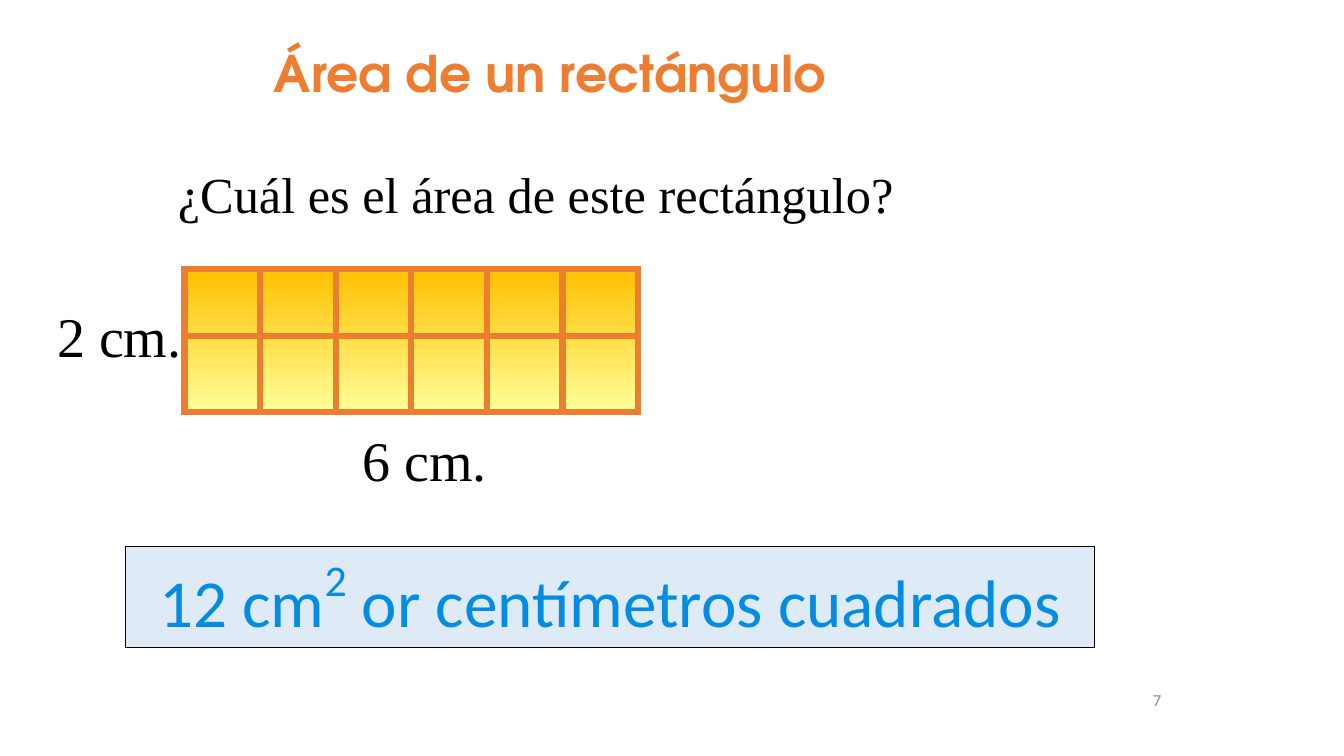
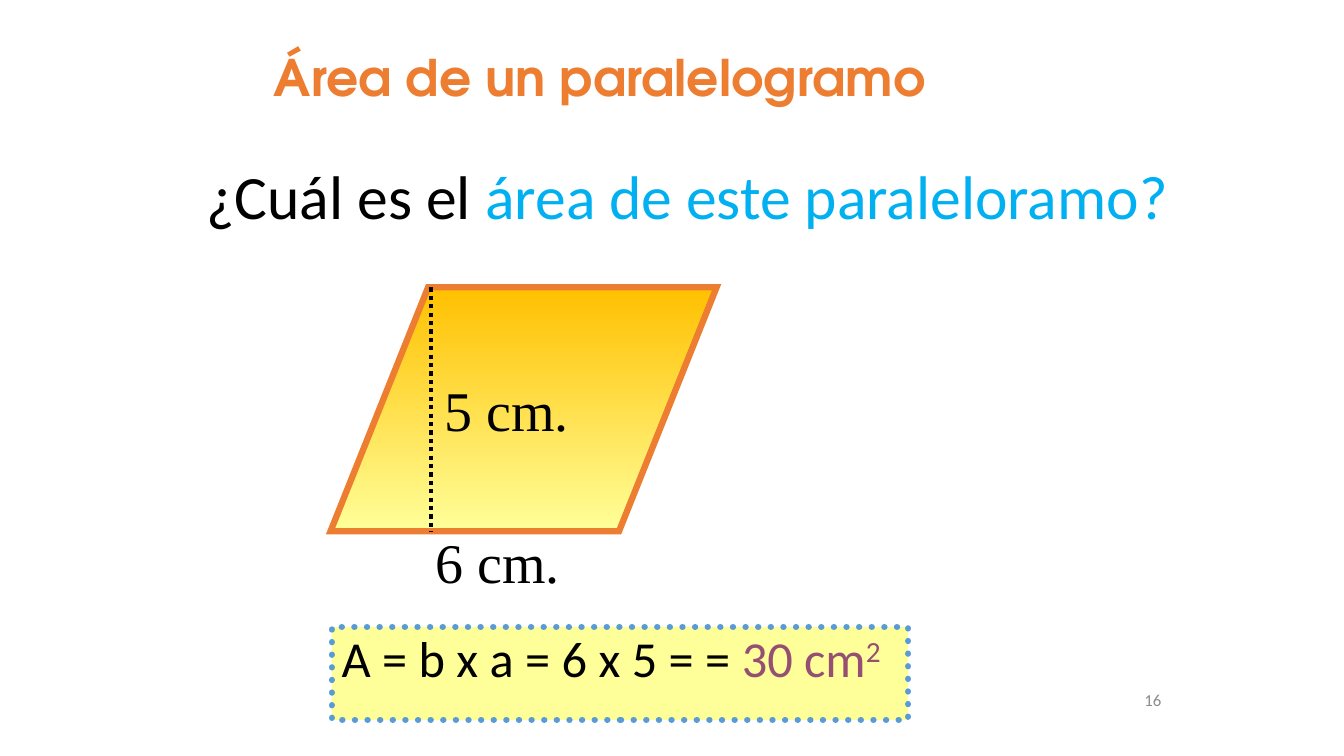
from pptx import Presentation
from pptx import util as u
from pptx.dml import color
from pptx.enum import dml, shapes, text
from pptx.oxml import ns
from lxml import etree

ORANGE = color.RGBColor(0xED, 0x7D, 0x31)
AMBER = color.RGBColor(0xFF, 0xC0, 0x00)
CREAM = color.RGBColor(0xFF, 0xFF, 0x99)
BLACK = color.RGBColor(0x00, 0x00, 0x00)
GREY = color.RGBColor(0x8C, 0x8C, 0x8C)
SKY = color.RGBColor(0x00, 0xB0, 0xF0)
BLUE = color.RGBColor(0x03, 0x8C, 0xE1)
STEEL = color.RGBColor(0x5B, 0x9B, 0xD5)
PALE_BLUE = color.RGBColor(0xDE, 0xEB, 0xF7)
PLUM = color.RGBColor(0x95, 0x4F, 0x72)

TITLE = {"name": "TeX Gyre Adventor", "size": u.Pt(36), "bold": True, "rgb": ORANGE}
MEASURE = {"name": "Times New Roman", "size": u.Pt(40), "rgb": BLACK}
NUMBER = {"name": "Calibri", "size": u.Pt(12), "rgb": GREY}
OUTLINE = 4.5
MIDDLE = text.MSO_ANCHOR.MIDDLE
CENTER = text.PP_ALIGN.CENTER


class Lesson:
    def __init__(self):
        self.deck = Presentation()
        self.deck.slide_width, self.deck.slide_height = u.Cm(33.87), u.Cm(19.05)
        self.slide = None

    def start(self, title, title_top, number):
        self.slide = self.deck.slides.add_slide(self.deck.slide_layouts[6])
        self.words((6.65, title_top, 20, 2.2), [(title, TITLE)])
        self.words((23.6, 17.12, 5.92, 1.02), [(number, NUMBER)],
                   anchor=MIDDLE, align=text.PP_ALIGN.RIGHT)

    def fill_text(self, frame, runs, anchor=text.MSO_ANCHOR.TOP,
                  align=text.PP_ALIGN.LEFT, spacing=None):
        frame.word_wrap = True
        frame.vertical_anchor = anchor
        paragraph = frame.paragraphs[0]
        paragraph.alignment = align
        paragraph.line_spacing = spacing
        for wording, style in runs:
            run = paragraph.add_run()
            run.text = wording
            for key, value in style.items():
                if key == "rgb":
                    run.font.color.rgb = value
                elif key == "raised":
                    run._r.get_or_add_rPr().set("baseline", str(value * 1000))
                else:
                    setattr(run.font, key, value)

    def words(self, box, runs, **layout):
        self.fill_text(self.slide.shapes.add_textbox(*map(u.Cm, box)).text_frame, runs, **layout)

    def measure(self, left, top, wording):
        self.words((left, top, 4, 1.96), [(wording, MEASURE)])

    def outline(self, line, rgb, width, dash=None):
        line.color.rgb = rgb
        line.width = u.Pt(width)
        if dash:
            line.dash_style = dash
        etree.SubElement(line._get_or_add_ln(), ns.qn("a:miter"), lim="800000")

    def block(self, kind, box, rgb, width, dash=None):
        block = self.slide.shapes.add_shape(kind, *map(u.Cm, box))
        block.shadow.inherit = False
        self.outline(block.line, rgb, width, dash)
        return block

    def figure(self, kind, box):
        figure = self.block(kind, box, ORANGE, OUTLINE)
        figure.fill.gradient()
        figure.fill.gradient_angle = 270
        for stop, rgb in zip(figure.fill.gradient_stops, (AMBER, CREAM)):
            stop.color.rgb = rgb
        return figure

    def answer(self, box, fill, line, runs, **layout):
        panel = self.block(shapes.MSO_SHAPE.RECTANGLE, box, *line)
        panel.fill.solid()
        panel.fill.fore_color.rgb = fill
        self.fill_text(panel.text_frame, runs, **layout)
        return panel

    def rule(self, start, end, rgb=ORANGE, width=OUTLINE, dash=None):
        rule = self.slide.shapes.add_connector(
            shapes.MSO_CONNECTOR.STRAIGHT, *map(u.Cm, start + end))
        self.outline(rule.line, rgb, width, dash)
        etree.SubElement(rule._element.spPr, ns.qn("a:effectLst"))


def rectangle_area(lesson):
    lesson.start("Área de un rectángulo", 0.94, "7")
    question = {"name": "Times New Roman", "size": u.Pt(36), "rgb": BLACK}
    lesson.words((0.81, 4.13, 25.4, 1.5), [("¿Cuál es el área de este rectángulo?", question)],
                 anchor=MIDDLE, align=CENTER)
    lesson.measure(1.19, 7.47, "2 cm.")
    lesson.measure(8.89, 10.59, "6 cm.")

    left, top, width, height, columns = 4.65, 6.78, 11.43, 3.61, 6
    lesson.figure(shapes.MSO_SHAPE.RECTANGLE, (left, top, width, height))
    lesson.rule((left, 8.46), (left + width, 8.46))
    for column in range(1, columns):
        x = left + column * width / columns
        lesson.rule((x, top), (x, top + height))

    result = {"name": "Calibri", "size": u.Pt(48), "rgb": BLUE}
    square = {**result, "size": u.Pt(54), "raised": 40}
    lesson.answer((3.17, 13.77, 24.41, 2.54), PALE_BLUE, (BLACK, 0.75),
                  [("12 cm", result), ("2", square), (" or centímetros cuadrados", result)],
                  anchor=MIDDLE, align=CENTER)


def parallelogram_area(lesson):
    lesson.start("Área de un paralelogramo", 1.04, "16")
    question = {"name": "Calibri", "size": u.Pt(44), "rgb": BLACK}
    lesson.words((4.95, 4.06, 25.4, 2.97),
                 [("¿Cuál es el ", question),
                  ("área de este paraleloramo?", {**question, "rgb": SKY})], spacing=0.9)

    top, height, altitude = 7.24, 6.15, 10.87
    figure = lesson.figure(shapes.MSO_SHAPE.PARALLELOGRAM, (8.33, top, 9.73, height))
    figure.adjustments[0] = 0.4
    dots = dml.MSO_LINE.ROUND_DOT
    lesson.rule((altitude, top), (altitude, top + height), BLACK, 3, dots)
    lesson.measure(10.73, 13.16, "6 cm.")
    lesson.measure(10.95, 9.35, "5 cm.")

    formula = {"name": "Calibri", "size": u.Pt(36), "rgb": BLACK}
    result = {**formula, "rgb": PLUM}
    panel = lesson.answer((8.36, 15.8, 14.53, 2.34), CREAM, (STEEL, OUTLINE, dots),
                          [("A = b x a = 6 x 5 = = ", formula), ("30 cm", result),
                           ("2", {**result, "raised": 30})])
    panel.text_frame.margin_top = 0
    panel.line._get_or_add_ln().set("cap", "rnd")


def main():
    lesson = Lesson()
    rectangle_area(lesson)
    parallelogram_area(lesson)
    lesson.deck.save("out.pptx")


if __name__ == "__main__":
    main()
